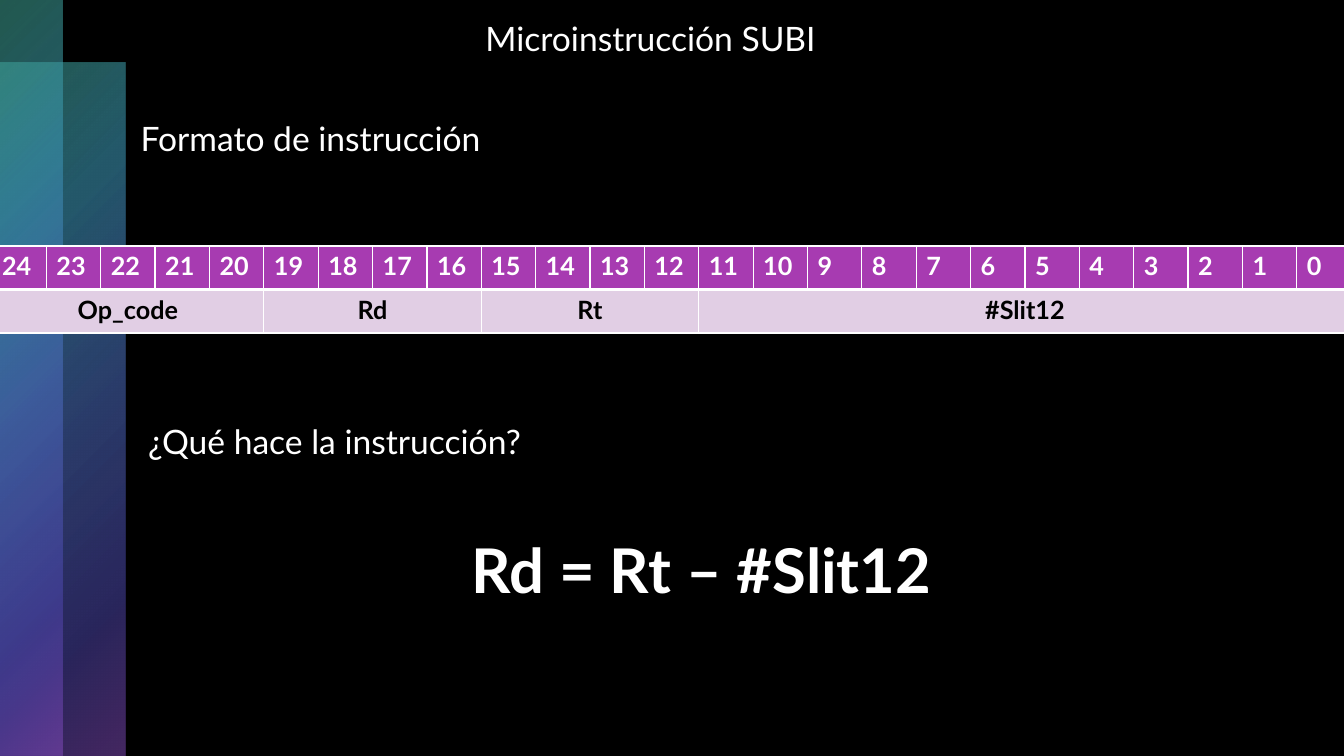
from lxml import etree
from pptx import Presentation
from pptx import util as u
from pptx.dml import color
from pptx.enum import shapes, text
from pptx.oxml import ns

SLIDE_WIDTH, SLIDE_HEIGHT = 1344, 756
EMU_PER_PIXEL = 914400 / 100.8
FONT = "Lato"
COLORS = {
    "background": "000000", "light": "FFFFFF", "dark": "000000",
    "bit": "A73BB1", "field": "E1CEE4",
    "teal": "45B19F", "cyan": "3B94B1", "blue": "4D74C3",
    "indigo": "534AB7", "purple": "884DC3",
}
# Position in percent, colour name, opacity in percent
GRADIENT = [(0, "teal", 50), (25, "cyan", 60), (50, "blue", 55),
            (81, "indigo", 50), (99, "purple", 50)]
# Field name and its width in bits
FIELDS = [("Op_code", 5), ("Rd", 4), ("Rt", 4), ("#Slit12", 12)]
BIT_COUNT = sum(bits for _, bits in FIELDS)


def px(pixels):
    """Turn pixels into EMU."""
    return u.Emu(round(pixels * EMU_PER_PIXEL))


def rgb(name):
    """Look up a colour by name."""
    return color.RGBColor.from_string(COLORS[name])


def add_xml(parent, tag, **attributes):
    """Append a DrawingML element to a parent."""
    values = {key: str(value) for key, value in attributes.items()}
    return etree.SubElement(parent, ns.qn("a:" + tag), values)


def format_text(frame, size, color_name, bold=False, align=None):
    """Format every run in a text frame."""
    for paragraph in frame.paragraphs:
        paragraph.alignment = align
        for run in paragraph.runs:
            run.font.name = FONT
            run.font.size = u.Pt(size)
            run.font.bold = bold
            run.font.color.rgb = rgb(color_name)


def add_band(slide, box):
    """Draw a translucent band with a radial gradient from its top left."""
    shape = slide.shapes.add_shape(shapes.MSO_SHAPE.RECTANGLE, *map(px, box))
    shape.shadow.inherit = False
    shape.line.fill.background()
    shape.fill.gradient()
    gradient = shape.fill._xPr.find(ns.qn("a:gradFill"))
    for child in list(gradient):
        gradient.remove(child)
    stops = add_xml(gradient, "gsLst")
    for position, name, opacity in GRADIENT:
        stop = add_xml(stops, "gs", pos=position * 1000)
        stop_color = add_xml(stop, "srgbClr", val=COLORS[name])
        add_xml(stop_color, "alpha", val=opacity * 1000)
    circle = add_xml(gradient, "path", path="circle")
    add_xml(circle, "fillToRect", r=100000, b=100000)


def add_label(slide, box, words, size=24, bold=False):
    """Place one centred line of white text."""
    frame = slide.shapes.add_textbox(*map(px, box)).text_frame
    frame.word_wrap = True
    frame.auto_size = text.MSO_AUTO_SIZE.SHAPE_TO_FIT_TEXT
    frame.text = words
    format_text(frame, size, "light", bold, text.PP_ALIGN.CENTER)


def style_cell(cell, fill_name, top=1, bottom=1):
    """Fill a cell and give it white borders, widths in points."""
    properties = cell._tc.get_or_add_tcPr()
    for side, width in (("L", 1), ("R", 1), ("T", top), ("B", bottom)):
        line = add_xml(properties, "ln" + side, w=u.Pt(width))
        add_xml(add_xml(line, "solidFill"), "srgbClr", val=COLORS["light"])
    cell.fill.solid()
    cell.fill.fore_color.rgb = rgb(fill_name)


def add_format_table(slide, box):
    """Draw the numbered bits above the fields they belong to."""
    left, top, width, height = box
    table = slide.shapes.add_table(2, BIT_COUNT, *map(px, box)).table
    for column in table.columns:
        column.width = px(width / BIT_COUNT)
    for row in table.rows:
        row.height = px(height / 2)
    for index in range(BIT_COUNT):
        bit_cell = table.cell(0, index)
        bit_cell.text_frame.text = str(BIT_COUNT - 1 - index)
        format_text(bit_cell.text_frame, 18, "light", bold=True)
        style_cell(bit_cell, "bit", bottom=3)
        style_cell(table.cell(1, index), "field", top=3)
    first = 0
    for name, bits in FIELDS:
        field_cell = table.cell(1, first)
        field_cell.merge(table.cell(1, first + bits - 1))
        field_cell.text_frame.text = name
        format_text(field_cell.text_frame, 18, "dark", True,
                    text.PP_ALIGN.CENTER)
        first += bits


def build_slide(presentation, box):
    """Build the SUBI instruction slide inside the given box."""
    left, top, width, height = box
    slide = presentation.slides.add_slide(presentation.slide_layouts[6])
    slide.background.fill.solid()
    slide.background.fill.fore_color.rgb = rgb("background")
    add_band(slide, (left, top + 63, 126, height - 63))
    add_band(slide, (left, top, 63, height))
    add_label(slide, (left + 378, top + 13, 545, 50), "Microinstrucción SUBI")
    add_label(slide, (left + 38, top + 113, 545, 50), "Formato de instrucción")
    add_format_table(slide, (left - 8, top + 246, width + 16, 87))
    add_label(slide, (left + 62, top + 416, 545, 50),
              "¿Qué hace la instrucción?")
    add_label(slide, (left + 429, top + 527, 545, 85), "Rd = Rt – #Slit12",
              size=44, bold=True)


presentation = Presentation()
presentation.slide_width = px(SLIDE_WIDTH)
presentation.slide_height = px(SLIDE_HEIGHT)
build_slide(presentation, (0, 0, SLIDE_WIDTH, SLIDE_HEIGHT))
presentation.save("out.pptx")
